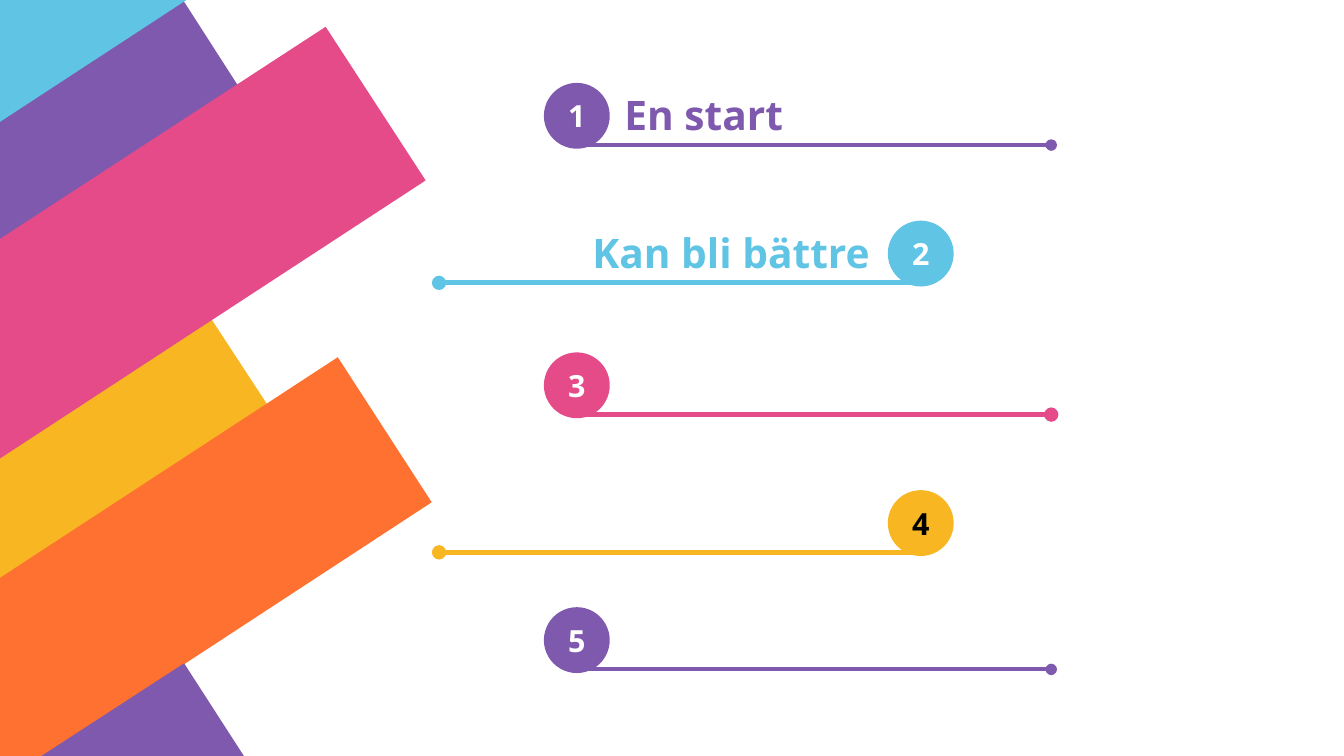
"""Build an agenda slide: diagonal ribbons and five numbered lines."""
from dataclasses import dataclass

import pptx
import pptx.dml.color
import pptx.enum.shapes
import pptx.enum.text
import pptx.oxml.ns
import pptx.util
from lxml import etree

Inches = pptx.util.Inches
Align = pptx.enum.text.PP_ALIGN


@dataclass(frozen=True)
class Theme:
    """Colours, font and type sizes of the slide."""
    purple: str = "7F59AE"
    blue: str = "60C4E4"
    pink: str = "E54B89"
    yellow: str = "F8B622"
    orange: str = "FE7130"
    white: str = "FFFFFF"
    black: str = "000000"
    font: str = "Noto Sans"
    number_size: int = 18
    title_size: int = 24


THEME = Theme()
DIAMETER = 0.54
LINE_DROP = 0.51
TITLE_WIDTH = 3.43

# Colour and outline of each ribbon, from back to front
RIBBONS = [
    (THEME.purple, [(1.49, 0), (0, 0.97), (0, 2.13), (2.02, 0.81), (1.5, 0)]),
    (THEME.yellow, [(1.69, 2.55), (0, 3.65), (0, 4.77), (2.2, 3.33)]),
    (THEME.pink, [(2.67, 0.22), (0, 1.96), (0, 3.76), (3.49, 1.48)]),
    (THEME.orange, [(2.77, 2.93), (0, 4.74), (0, 6.2), (0.36, 6.2), (3.54, 4.12)]),
    (THEME.purple, [(1.51, 5.44), (0.34, 6.2), (2, 6.2)]),
    (THEME.blue, [(0, 0), (0, 1), (1.53, 0)]),
]

# Top, colour, number colour, line width and title of each step
STEPS = [
    (0.68, THEME.purple, THEME.white, 2.27, "En start"),
    (1.81, THEME.blue, THEME.white, 2.83, "Kan bli bättre"),
    (2.89, THEME.pink, THEME.white, 2.83, ""),
    (4.02, THEME.yellow, THEME.black, 2.83, ""),
    (4.98, THEME.purple, THEME.white, 2.27, ""),
]

# Left of circle, line's dotted end, line's circle end, left of title, alignment
SIDES = [
    (4.46, 8.62, 4.72, 5.12, Align.LEFT),
    (7.28, 3.6, 7.49, 3.7, Align.RIGHT),
]


def rgb(color):
    """Turn a hex string into a colour value."""
    return pptx.dml.color.RGBColor.from_string(color)


def apply_format(target, values):
    """Set every attribute named in values on the target."""
    for name, value in values.items():
        setattr(target, name, value)


class SlideBuilder:
    """Holds the theme and the current slide, and draws elements on it."""

    def __init__(self, slide, theme):
        """Keep the slide and its theme."""
        self.shapes = slide.shapes
        self.theme = theme

    def paint(self, shape, color):
        """Give a shape a plain fill without line or shadow."""
        shape.shadow.inherit = False
        shape.fill.solid()
        shape.fill.fore_color.rgb = rgb(color)
        shape.line.fill.background()

    def set_text(self, shape, text, size, color, alignment, wrap):
        """Put one bold, vertically centred paragraph into a shape."""
        frame = shape.text_frame
        apply_format(frame, {
            "margin_left": 0, "margin_right": 0, "margin_top": 0, "margin_bottom": 0,
            "word_wrap": wrap, "vertical_anchor": pptx.enum.text.MSO_ANCHOR.MIDDLE,
        })
        paragraph = frame.paragraphs[0]
        paragraph.alignment = alignment
        run = paragraph.add_run()
        run.text = text
        apply_format(run.font, {
            "name": self.theme.font, "size": pptx.util.Pt(size), "bold": True})
        run.font.color.rgb = rgb(color)

    def ribbon(self, color, points):
        """Draw a closed, filled outline."""
        corners = [(Inches(x), Inches(y)) for x, y in points]
        builder = self.shapes.build_freeform(*corners[0])
        builder.add_line_segments(corners[1:], close=True)
        self.paint(builder.convert_to_shape(), color)

    def circle(self, left, top, number, color, text_color):
        """Draw a numbered circle."""
        shape = self.shapes.add_shape(
            pptx.enum.shapes.MSO_SHAPE.OVAL,
            Inches(left), Inches(top), Inches(DIAMETER), Inches(DIAMETER))
        self.paint(shape, color)
        self.set_text(shape, str(number), self.theme.number_size, text_color,
                      Align.CENTER, False)

    def dotted_end_line(self, start, end, y, color, width):
        """Draw a level line with a round dot at its start."""
        connector = self.shapes.add_connector(
            pptx.enum.shapes.MSO_CONNECTOR.STRAIGHT,
            Inches(start), Inches(y), Inches(end), Inches(y))
        connector.line.color.rgb = rgb(color)
        connector.line.width = pptx.util.Pt(width)
        properties = connector._element.spPr
        qn = pptx.oxml.ns.qn
        etree.SubElement(properties.get_or_add_ln(), qn("a:headEnd"), type="oval")
        etree.SubElement(properties, qn("a:effectLst"))

    def title(self, left, top, text, color, alignment):
        """Add the title of a step."""
        box = self.shapes.add_textbox(
            Inches(left), Inches(top), Inches(TITLE_WIDTH), Inches(LINE_DROP))
        self.set_text(box, text, self.theme.title_size, color, alignment, True)


def main():
    """Build and save the presentation."""
    presentation = pptx.Presentation()
    presentation.slide_width = Inches(11.02)
    presentation.slide_height = Inches(6.2)
    slide = presentation.slides.add_slide(presentation.slide_layouts[6])
    builder = SlideBuilder(slide, THEME)

    for color, points in RIBBONS:
        builder.ribbon(color, points)

    for index, (top, color, number_color, width, title) in enumerate(STEPS):
        circle_left, start, end, title_left, alignment = SIDES[index % 2]
        builder.circle(circle_left, top, index + 1, color, number_color)
        builder.dotted_end_line(start, end, top + LINE_DROP, color, width)
        if title:
            builder.title(title_left, top, title, color, alignment)

    presentation.save("out.pptx")


main()
